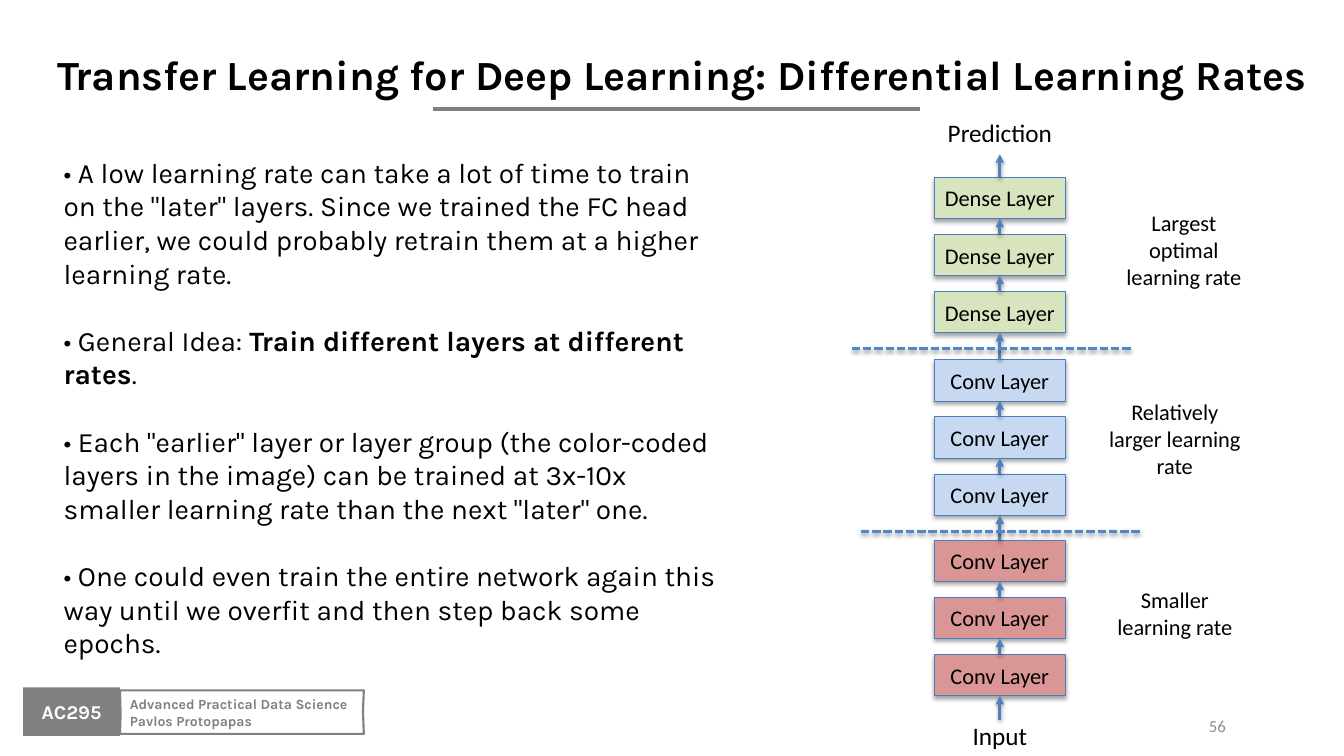
from dataclasses import dataclass

from lxml.etree import SubElement
from pptx import Presentation
from pptx.dml.color import RGBColor
from pptx.enum.dml import MSO_LINE
from pptx.enum.shapes import MSO_CONNECTOR, MSO_SHAPE
from pptx.enum.text import MSO_ANCHOR, MSO_AUTO_SIZE, PP_ALIGN
from pptx.oxml.ns import qn
from pptx.util import Pt


@dataclass(frozen=True)
class Theme:
    heading_font: str = "Karla"
    label_font: str = "Calibri"
    black: str = "000000"
    white: str = "FFFFFF"
    gray: str = "808080"
    number_gray: str = "8C8C8C"
    arrow: str = "4F81BD"
    divider: str = "4E88C7"
    box_line: str = "4B7EBC"
    green: str = "D7E4BD"
    blue: str = "C6D9F1"
    red: str = "D99694"
    title_size: float = 29.6
    body_size: float = 20
    end_size: float = 18
    label_size: float = 16
    course_size: float = 14
    number_size: float = 12
    footer_size: float = 10


def write(tf, text, font, size, color, bold=False, align=PP_ALIGN.LEFT,
          anchor=MSO_ANCHOR.TOP, gap=0, wrap=True):
    """Fill a text frame, one paragraph per line; **marks** enclose bold words."""
    tf.word_wrap = wrap
    tf.auto_size = MSO_AUTO_SIZE.NONE
    tf.vertical_anchor = anchor
    for i, line in enumerate(text.split("\n")):
        p = tf.add_paragraph() if i else tf.paragraphs[0]
        pPr = p._p.get_or_add_pPr()
        pPr.set("marL", "0")
        pPr.set("indent", "0")
        SubElement(pPr, qn("a:buNone"))
        p.alignment = align
        p.space_before = Pt(gap if i else 0)
        for j, part in enumerate(line.split("**")):
            r = p.add_run()
            r.text = part
            r.font.name = font
            r.font.size = Pt(size)
            r.font.bold = bold or j % 2 == 1
            r.font.color.rgb = RGBColor.from_string(color)


def set_effects(shape, distance=0, opacity=0):
    """Replace the theme shadow by a soft one below, or by none."""
    effects = SubElement(shape._element.spPr, qn("a:effectLst"))
    if opacity:
        shadow = SubElement(effects, qn("a:outerShdw"), blurRad=str(Pt(3.1)),
                            dist=str(Pt(distance)), dir="5400000", rotWithShape="0")
        black = SubElement(shadow, qn("a:srgbClr"), val="000000")
        SubElement(black, qn("a:alpha"), val=str(opacity * 1000))


class Slide:
    def __init__(self, prs, theme):
        self.theme = theme
        self.s = prs.slides.add_slide(prs.slide_layouts[1])

    def placeholder(self, index, box, text, **fmt):
        sp = self.s.placeholders[index]
        sp.left, sp.top, sp.width, sp.height = map(Pt, box)
        write(sp.text_frame, text, self.theme.heading_font, color=self.theme.black, **fmt)

    def text(self, box, text, font=None, color=None, **fmt):
        sp = self.s.shapes.add_textbox(*map(Pt, box))
        write(sp.text_frame, text, font or self.theme.label_font,
              color=color or self.theme.black, **fmt)

    def box(self, box, fill, text, line=None, shadow=False, **fmt):
        sp = self.s.shapes.add_shape(MSO_SHAPE.RECTANGLE, *map(Pt, box))
        sp.fill.solid()
        sp.fill.fore_color.rgb = RGBColor.from_string(fill)
        if line:
            sp.line.color.rgb = RGBColor.from_string(line)
            sp.line.width = Pt(0.75)
        else:
            sp.line.fill.background()
        set_effects(sp, 1.8, 35 if shadow else 0)
        write(sp.text_frame, text, align=PP_ALIGN.CENTER, anchor=MSO_ANCHOR.MIDDLE, **fmt)

    def line(self, x1, y1, x2, y2, color, width=2, arrow=False, dash=None, shadow=True):
        cn = self.s.shapes.add_connector(MSO_CONNECTOR.STRAIGHT, *map(Pt, (x1, y1, x2, y2)))
        cn.line.color.rgb = RGBColor.from_string(color)
        cn.line.width = Pt(width)
        if dash:
            cn.line.dash_style = dash
        if arrow:
            SubElement(cn.line._get_or_add_ln(), qn("a:tailEnd"), type="triangle")
        set_effects(cn, 1.6, 38 if shadow else 0)

    def outline(self, points, color, text, **fmt):
        start, *rest = [(Pt(x), Pt(y)) for x, y in points]
        builder = self.s.shapes.build_freeform(*start)
        builder.add_line_segments(rest, close=True)
        sp = builder.convert_to_shape()
        sp.fill.background()
        sp.line.color.rgb = RGBColor.from_string(color)
        sp.line.width = Pt(1.5)
        set_effects(sp)
        write(sp.text_frame, text, color=color, **fmt)


BULLETS = """\
• A low learning rate can take a lot of time to train on the "later" layers. Since we trained the FC head earlier, we could probably retrain them at a higher learning rate.
• General Idea: **Train different layers at different rates**.
• Each "earlier" layer or layer group (the color-coded layers in the image) can be trained at 3x-10x smaller learning rate than the next "later" one.
• One could even train the entire network again this way until we overfit and then step back some epochs."""

FRAME = [(85.7, 493.2), (127.4, 493.2), (170.6, 493.2), (214.6, 493.2), (259.9, 493.2),
         (259.3, 508), (259.9, 524.2), (216, 524.2), (176.4, 524.2), (136.1, 524.2),
         (85.7, 524.2), (86.2, 510)]

AXIS, BOX_W, BOX_H, PITCH = 714.2, 93.6, 29.5, 40.8
PREDICTION_Y, INPUT_Y = 110.2, 514


def draw_network(slide):
    t = slide.theme
    groups = [(126.7, "Dense Layer", t.green), (257, "Conv Layer", t.blue),
              (385.9, "Conv Layer", t.red)]
    above = PREDICTION_Y
    for top, name, fill in groups:
        for i in range(3):
            y = top + i * PITCH
            slide.box((AXIS - BOX_W / 2, y, BOX_W, BOX_H), fill, name, line=t.box_line,
                      shadow=True, font=t.label_font, size=t.label_size, color=t.black)
            slide.line(AXIS, y, AXIS, above, t.arrow, arrow=True)
            above = y + BOX_H
    slide.line(AXIS, INPUT_Y, AXIS, above, t.arrow, arrow=True)

    for x, y in [(608.4, 249.1), (614.9, 379.4)]:
        slide.line(x, y, x + 200.2, y, t.divider, dash=MSO_LINE.SQUARE_DOT)
    for y, name in [(80.6, "Prediction"), (511.2, "Input")]:
        slide.text((AXIS - 45, y, 90, 28.8), name, size=t.end_size,
                   align=PP_ALIGN.CENTER, wrap=False)
    for x, y, h, rate in [(791.3, 146.2, 67.7, "Largest optimal learning rate"),
                          (784.8, 280.8, 67.7, "Relatively larger learning rate"),
                          (784.8, 415.4, 46.1, "Smaller learning rate")]:
        slide.text((x, y, 108.7, h), rate, size=t.label_size, align=PP_ALIGN.CENTER)


def draw_footer(slide):
    t = slide.theme
    slide.box((16.6, 491, 69.1, 34.6), t.gray, "AC295", font=t.heading_font,
              size=t.course_size, color=t.white, bold=True)
    slide.outline(FRAME, t.gray, "Advanced Practical Data Science\nPavlos Protopapas",
                  font=t.heading_font, size=t.footer_size, bold=True)
    slide.text((666.7, 504, 216, 28.8), "56", color=t.number_gray, size=t.number_size,
               align=PP_ALIGN.RIGHT, anchor=MSO_ANCHOR.MIDDLE)


def main():
    prs = Presentation()
    prs.slide_width, prs.slide_height = Pt(960), Pt(540)
    t = Theme()
    slide = Slide(prs, t)
    slide.placeholder(0, (15.8, 31.7, 943.9, 60.5),
                      "Transfer Learning for Deep Learning: Differential Learning Rates",
                      size=t.title_size, bold=True, align=PP_ALIGN.CENTER)
    slide.placeholder(1, (38.2, 107.3, 490.3, 370.8), BULLETS, size=t.body_size, gap=24)
    slide.line(309.6, 77.8, 657.4, 77.8, t.gray, width=3, shadow=False)
    draw_footer(slide)
    draw_network(slide)
    prs.save("out.pptx")


if __name__ == "__main__":
    main()
